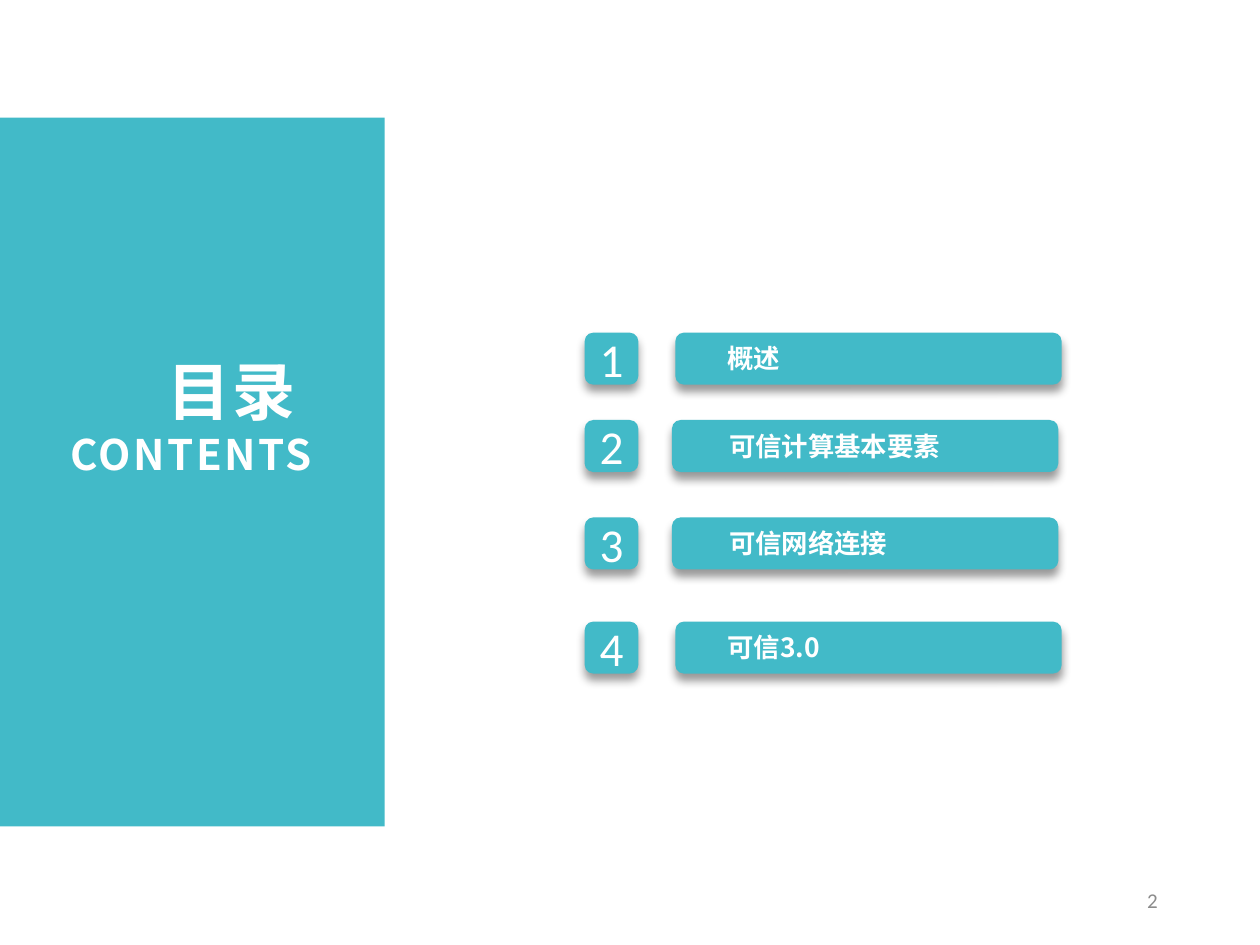
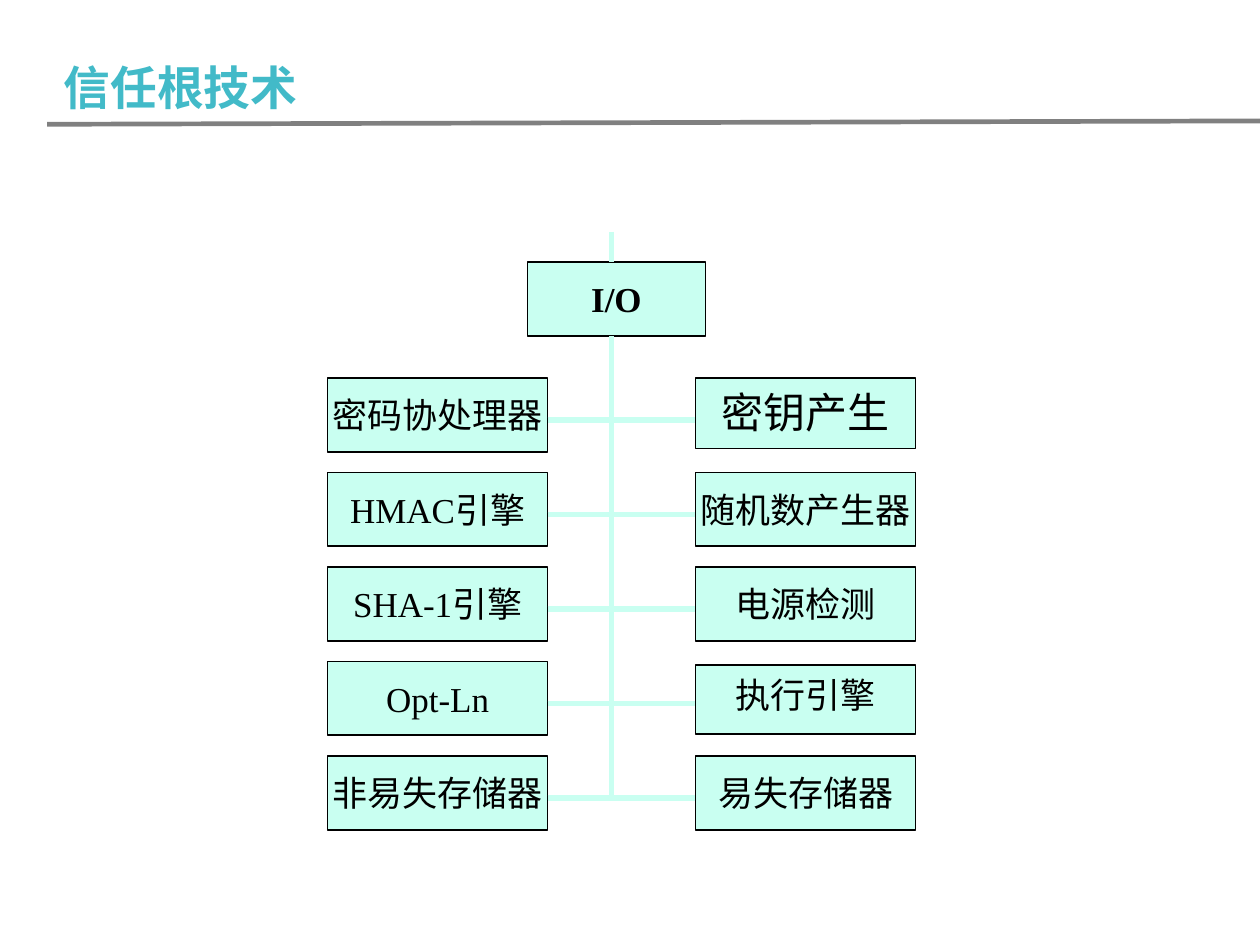
from lxml.etree import SubElement
from pptx import Presentation
from pptx.dml.color import RGBColor
from pptx.enum.shapes import MSO_CONNECTOR, MSO_SHAPE
from pptx.enum.text import MSO_ANCHOR as Anchor, PP_ALIGN as Align
from pptx.oxml.ns import qn
from pptx.util import Inches, Pt

TEAL = RGBColor(0x42, 0xBA, 0xC8)
MINT = RGBColor(0xC9, 0xFF, 0xF1)
WHITE = RGBColor(0xFF, 0xFF, 0xFF)
BLACK = RGBColor(0, 0, 0)
GRAY = RGBColor(0x80, 0x80, 0x80)
NUMBER_GRAY = RGBColor(0x8C, 0x8C, 0x8C)
SANS, SERIF, HEADING = "Calibri", "Times New Roman", "Noto Sans CJK SC"
TIGHT = (0.07, 0.04)
NORMAL = (0.1, 0.05)
PAGE_WIDTH = 7.5
PAGE_HEIGHT = PAGE_WIDTH * 3 / 4

# top, label, bar left, label left, label top
CONTENTS = [
    (1.98, "概述", 4.02, 4.26, 2.0),
    (2.5, "可信计算基本要素", 4, 4.27, 2.52),
    (3.08, "可信网络连接", 4, 4.27, 3.1),
    (3.7, "可信3.0", 4.02, 4.26, 3.72),
]

LEFT_PARTS = ["密码协处理器", "HMAC引擎", "SHA-1引擎", "Opt-Ln", "非易失存储器"]
RIGHT_PARTS = ["密钥产生", "随机数产生器", "电源检测", "执行引擎", "易失存储器"]
# Right-hand boxes that differ: top, height, text size
SPECIAL_PARTS = {"密钥产生": (2.25, 0.42, 18), "执行引擎": (3.96, 0.41, 15)}
LEFT_X, RIGHT_X, TRUNK_X = 1.95, 4.14, 3.64
PART_WIDTH, PART_HEIGHT = 1.31, 0.44
FIRST_TOP, LAST_TOP = 2.25, 4.5
ROW_STEP = (LAST_TOP - FIRST_TOP) / (len(LEFT_PARTS) - 1)


def write(box, text, size, font=HEADING, color=WHITE, bold=False, align=Align.LEFT,
          anchor=Anchor.TOP, margins=NORMAL, wrap=True, spacing=None):
    """Fill a shape with text; size may be a list with one entry per line."""
    frame = box.text_frame
    frame.word_wrap = wrap
    frame.vertical_anchor = anchor
    frame.margin_left = frame.margin_right = Inches(margins[0])
    frame.margin_top = frame.margin_bottom = Inches(margins[1])
    lines = text.split("\n")
    sizes = size if isinstance(size, list) else [size] * len(lines)
    for index, (line, points) in enumerate(zip(lines, sizes)):
        para = frame.paragraphs[0] if index == 0 else frame.add_paragraph()
        para.alignment = align
        span = para.add_run()
        span.text = line
        span.font.size = Pt(points)
        span.font.name = font
        span.font.bold = bold
        span.font.color.rgb = color
        properties = span.font._element
        SubElement(properties, qn("a:ea"), typeface=HEADING)
        if spacing:
            properties.set("spc", str(round(spacing * 100)))


def add_text(shapes, at, text, size, **style):
    write(shapes.add_textbox(*map(Inches, at)), text, size, **style)


def add_box(shapes, at, fill, kind=MSO_SHAPE.RECTANGLE, line=None, shadow=False):
    box = shapes.add_shape(kind, *map(Inches, at))
    box.fill.solid()
    box.fill.fore_color.rgb = fill
    if line is None:
        box.line.fill.background()
    else:
        box.line.color.rgb = line
        box.line.width = Pt(0.75)
    box.shadow.inherit = False
    if shadow:
        effects = box._element.spPr.find(qn("a:effectLst"))
        outer = SubElement(effects, qn("a:outerShdw"), blurRad=str(Pt(4)), dist=str(Pt(3)),
                           dir="5400000", algn="t", rotWithShape="0")
        tint = SubElement(outer, qn("a:srgbClr"), val="000000")
        SubElement(tint, qn("a:alpha"), val="40000")
    return box


def add_line(shapes, start, end, color, width):
    line = shapes.add_connector(MSO_CONNECTOR.STRAIGHT, *map(Inches, start + end))
    line.line.color.rgb = color
    line.line.width = Pt(width)
    SubElement(line._element.spPr, qn("a:effectLst"))


def add_page(deck):
    return deck.slides.add_slide(deck.slide_layouts[6])


def build_contents(deck):
    shapes = add_page(deck).shapes
    add_box(shapes, (0, 0.7, 2.29, 4.22), TEAL)
    add_text(shapes, (0.2, 2.06, 1.73, 0.83), "目录 \nCONTENTS", [27, 18], bold=True,
             align=Align.RIGHT, margins=TIGHT, spacing=1.1)
    for number, (top, label, bar_left, label_left, label_top) in enumerate(CONTENTS, 1):
        badge = add_box(shapes, (3.48, top, 0.32, 0.31), TEAL,
                        kind=MSO_SHAPE.ROUNDED_RECTANGLE, shadow=True)
        write(badge, str(number), 20.2, font=SANS, align=Align.CENTER,
              anchor=Anchor.MIDDLE, margins=TIGHT)
        entry = shapes.add_group_shape().shapes
        add_box(entry, (bar_left, top, 2.3, 0.31), TEAL,
                kind=MSO_SHAPE.ROUNDED_RECTANGLE, shadow=True)
        add_text(entry, (label_left, label_top, 1.63, 0.26), label, 11.25, bold=True,
                 margins=TIGHT)
    add_text(shapes, (5.3, 5.21, 1.69, 0.3), "2", 9, font=SANS, color=NUMBER_GRAY,
             align=Align.RIGHT, anchor=Anchor.MIDDLE)


def add_part(shapes, at, text, size=15, **style):
    box = add_box(shapes, at, MINT, line=BLACK)
    write(box, text, size, font=SERIF, color=BLACK, align=Align.CENTER, **style)


def build_structure(deck):
    shapes = add_page(deck).shapes
    centred = {"anchor": Anchor.MIDDLE, "wrap": False}
    add_part(shapes, (3.14, 1.56, 1.06, PART_HEIGHT), "I/O", bold=True, **centred)
    for row, (left_part, right_part) in enumerate(zip(LEFT_PARTS, RIGHT_PARTS)):
        top = FIRST_TOP + row * ROW_STEP
        add_part(shapes, (LEFT_X, top, PART_WIDTH, PART_HEIGHT), left_part, **centred)
        if right_part in SPECIAL_PARTS:
            special_top, height, size = SPECIAL_PARTS[right_part]
            add_part(shapes, (RIGHT_X, special_top, PART_WIDTH, height), right_part, size)
        else:
            add_part(shapes, (RIGHT_X, top, PART_WIDTH, PART_HEIGHT), right_part, **centred)
        branch_y = top + 0.25
        add_line(shapes, (LEFT_X + PART_WIDTH, branch_y), (RIGHT_X, branch_y), MINT, 2.25)
    for start_y, end_y in [(2, 4.75), (1.38, 1.56)]:
        add_line(shapes, (TRUNK_X, start_y), (TRUNK_X, end_y), MINT, 2.25)
    heading = shapes.add_group_shape().shapes
    add_line(heading, (0.28, 0.74), (PAGE_WIDTH, 0.72), GRAY, 2)
    add_text(heading, (0.28, 0.3, 3.01, 0.44), "信任根技术", 20, color=TEAL, bold=True)


def main():
    deck = Presentation()
    deck.slide_width, deck.slide_height = Inches(PAGE_WIDTH), Inches(PAGE_HEIGHT)
    build_contents(deck)
    build_structure(deck)
    deck.save("out.pptx")


if __name__ == "__main__":
    main()
